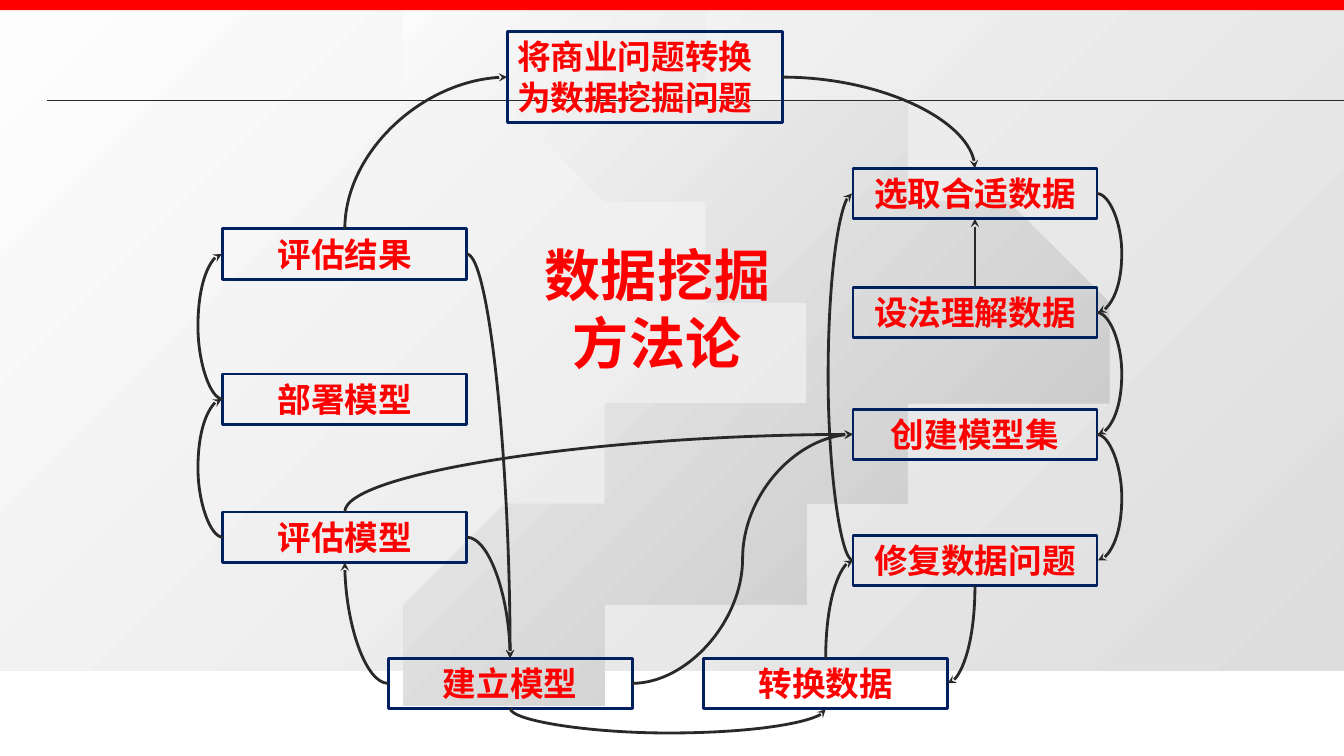
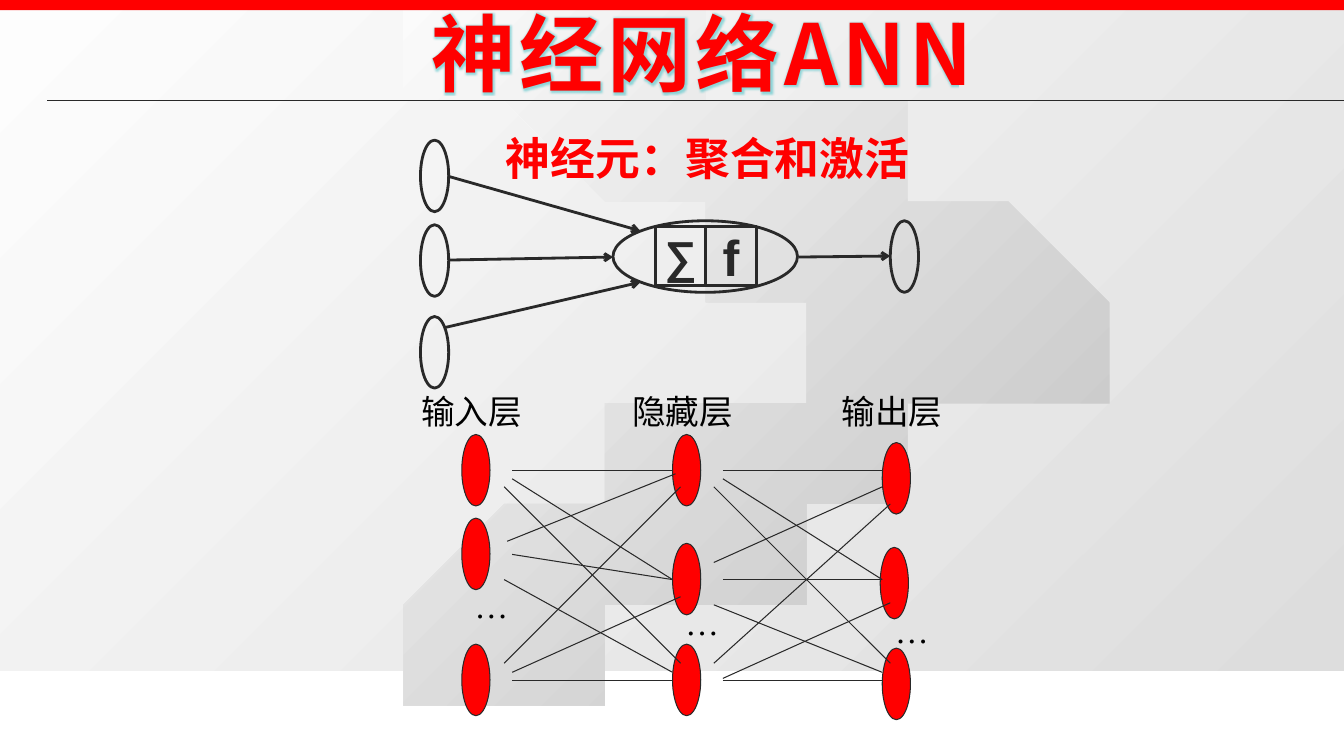
from lxml import etree
from pptx import Presentation
from pptx import util as u
from pptx.dml.color import RGBColor
from pptx.enum import shapes, text
from pptx.oxml.ns import qn

COLORS = {
    "red": "FF0000", "navy": "002060", "ink": "292929", "black": "000000",
    "white": "FFFFFF", "pale": "FDFDFD", "grey": "DDDDDD", "silver": "C0C0C0",
    "outline": "FFF4F4", "glow": "4FC3C8",
}
RGB = {name: RGBColor.from_string(value) for name, value in COLORS.items()}
HEADING_FONT, BODY_FONT = "Noto Sans CJK SC", "Noto Sans CJK JP"
RECTANGLE, OVAL = shapes.MSO_SHAPE.RECTANGLE, shapes.MSO_SHAPE.OVAL
CENTER = text.PP_ALIGN.CENTER


def write_text(shape, lines, font, size, color, bold=False, align=None, spacing=0,
               **frame_format):
    """Fill a shape with equally styled paragraphs and return the runs."""
    frame = shape.text_frame
    frame_values = {"word_wrap": True, "vertical_anchor": text.MSO_ANCHOR.TOP}
    for name, value in {**frame_values, **frame_format}.items():
        setattr(frame, name, value)
    frame.text = "\n".join(lines)
    runs = []
    for paragraph in frame.paragraphs:
        paragraph.alignment = align or text.PP_ALIGN.LEFT
        paragraph.line_spacing = u.Pt(1.2 * size)
        run = paragraph.runs[0]
        for name, value in {"name": font, "size": u.Pt(size), "bold": bold}.items():
            setattr(run.font, name, value)
        run.font.color.rgb = RGB[color]
        properties = run.font._element
        if spacing:
            properties.set("spc", str(spacing))
        etree.SubElement(properties, qn("a:ea"), typeface=font)
        runs.append(run)
    return runs


def style(shape, width, line="ink", fill=None, head=None, tail=None):
    """Set the outline, the fill and the arrowheads, without a shadow."""
    shape.line.width = u.Pt(width)
    shape.line.color.rgb = RGB[line]
    properties = shape.element.spPr
    for end, arrow in (("headEnd", head), ("tailEnd", tail)):
        if arrow:
            etree.SubElement(properties.find(qn("a:ln")), qn(f"a:{end}"), type=arrow)
    if shape.element.tag == qn("p:cxnSp"):
        etree.SubElement(properties, qn("a:effectLst"))
        return
    shape.shadow.inherit = False
    if fill:
        shape.fill.solid()
        shape.fill.fore_color.rgb = RGB[fill]
    else:
        shape.fill.background()


presentation = Presentation()
presentation.slide_width, presentation.slide_height = u.Inches(13.33), u.Inches(7.5)
blank = presentation.slide_layouts[6]
method_slide = presentation.slides.add_slide(blank)
network_slide = presentation.slides.add_slide(blank)

# Shared background: panel, chevron, top band and rule, kept on the master
panel = method_slide.shapes.add_shape(
    RECTANGLE, 0, u.Inches(0.08), u.Inches(13.33), u.Inches(6.57))

chevron_start = (10.64, 3.76)
chevron_curves = [
    [(10.19, 4.04), (6.56, 6.2), (5.72, 6.64)],
    [(4.27, 6.64)],
    [(4.04, 6.45), (3.64, 6.08), (4.31, 5.5)],
    [(6.27, 4.33), (7.5, 3.61), (8.33, 3.15)],
    [(5.79, 1.69), (3.89, 0.53), (3.24, 0.1)],
    [(4.73, 0.08), (6.21, 0.1), (6.21, 0.1)],
    [(7.19, 0.65), (10.18, 2.3), (10.64, 2.59)],
    [(11.11, 2.89), (11.09, 3.47), (10.64, 3.76)],
]
STEPS = 16
outline = [chevron_start]
for curve in chevron_curves:
    if len(curve) == 1:
        outline += curve
        continue
    controls = [outline[-1], *curve]
    for step in range(1, STEPS + 1):
        t = step / STEPS
        weights = ((1 - t) ** 3, 3 * t * (1 - t) ** 2, 3 * t ** 2 * (1 - t), t ** 3)
        outline.append(tuple(
            sum(weight * point[axis] for weight, point in zip(weights, controls))
            for axis in (0, 1)))
builder = method_slide.shapes.build_freeform(*chevron_start, scale=u.Inches(1))
builder.add_line_segments(outline[1:], close=True)
chevron = builder.convert_to_shape()

band = method_slide.shapes.add_shape(RECTANGLE, 0, 0, u.Inches(13.33), u.Inches(0.1))
band.fill.solid()
band.fill.fore_color.rgb = RGB["red"]
for shape, stops in ((panel, ("pale", "grey")), (chevron, ("white", "silver"))):
    shape.fill.gradient()
    shape.fill.gradient_angle = 315
    for stop, color in zip(shape.fill.gradient_stops, stops):
        stop.color.rgb = RGB[color]
for shape in (panel, chevron, band):
    shape.shadow.inherit = False
    shape.line.fill.background()

rule = method_slide.shapes.add_connector(
    shapes.MSO_CONNECTOR.STRAIGHT, u.Inches(0.47), u.Inches(1), u.Inches(13.33), u.Inches(1))
style(rule, 1)
for index, shape in enumerate((panel, chevron, band, rule)):
    shape.element.xpath(".//p:cNvPr")[0].set("id", str(100 + index))
    presentation.slide_master.shapes.element.insert(2 + index, shape.element)

# Slide 1: steps of the method
steps = [
    ("将商业问题转换为数据挖掘问题", 5.03, 0.31),
    ("选取合适数据", 8.46, 1.67),
    ("设法理解数据", 8.46, 2.85),
    ("创建模型集", 8.46, 4.06),
    ("修复数据问题", 8.46, 5.31),
    ("转换数据", 6.98, 6.53),
    ("建立模型", 3.85, 6.53),
    ("评估模型", 2.21, 5.08),
    ("部署模型", 2.21, 3.71),
    ("评估结果", 2.21, 2.27),
]
boxes = []
for index, (label, left, top) in enumerate(steps):
    width, height = (2.42, 0.5) if index else (2.73, 0.91)
    box = method_slide.shapes.add_shape(
        RECTANGLE, u.Inches(left), u.Inches(top), u.Inches(width), u.Inches(height))
    style(box, 2, "navy")
    write_text(box, [label], BODY_FONT, 24, "red", True, CENTER if index else None)
    boxes.append(box)
problem, select, understand, model_set, repair, convert, build, assess, deploy, result = boxes

# Slide 1: arrows between the steps
TOP, LEFT, BOTTOM, RIGHT = range(4)
THIN, BULGE = u.Inches(0.01), 25
arrows = [
    (result, TOP, problem, LEFT), (problem, RIGHT, select, TOP),
    (select, RIGHT, understand, RIGHT), (understand, TOP, select, BOTTOM),
    (understand, RIGHT, model_set, RIGHT), (model_set, RIGHT, repair, RIGHT),
    (repair, BOTTOM, convert, RIGHT), (convert, BOTTOM, build, BOTTOM),
    (build, LEFT, assess, BOTTOM), (assess, LEFT, deploy, LEFT),
    (deploy, LEFT, result, LEFT), (result, RIGHT, build, TOP),
    (assess, RIGHT, build, TOP), (convert, TOP, repair, LEFT),
    (assess, TOP, model_set, LEFT), (build, RIGHT, model_set, LEFT),
    (repair, LEFT, select, LEFT),
]
for source, source_side, target, target_side in arrows:
    vertical = [side in (TOP, BOTTOM) for side in (source_side, target_side)]
    straight = (source_side, target_side) == (TOP, BOTTOM)
    kind = shapes.MSO_CONNECTOR.STRAIGHT if straight else shapes.MSO_CONNECTOR.CURVE
    arrow = method_slide.shapes.add_connector(kind, 0, 0, 0, 0)
    # A quarter curve always starts at its horizontal end
    backwards = vertical == [True, False]
    ends = [(source, source_side), (target, target_side)]
    if backwards:
        ends.reverse()
    arrow.begin_connect(*ends[0])
    arrow.end_connect(*ends[1])
    style(arrow, 2, **{"head" if backwards else "tail": "stealth"})
    geometry = arrow.element.spPr.find(qn("a:prstGeom"))
    if vertical[0] != vertical[1]:
        geometry.set("prst", "curvedConnector2")
    elif source_side == target_side:
        geometry.rewrite_guides([("adj1", BULGE * 100000)])
        if source_side == BOTTOM:
            # Turned a quarter so that the bulge points down
            span, middle = arrow.width, arrow.left + arrow.width // 2
            transform = arrow.element.spPr.xfrm
            transform.flipH, transform.rot = False, 90
            for name, value in {"left": middle - THIN // 2, "top": arrow.top - span // 2,
                                "width": THIN, "height": span}.items():
                setattr(arrow, name, value)
        else:
            arrow.end_x += THIN if source_side == RIGHT else -THIN

# Slide 1: heading in the middle
heading = method_slide.shapes.add_textbox(
    u.Inches(5.28), u.Inches(2.34), u.Inches(2.48), u.Inches(1.45))
write_text(heading, ["数据挖掘", "方法论"], HEADING_FONT, 40, "red", True, CENTER,
           spacing=50, word_wrap=False)

# Slide 2: title with outline and glow
title = network_slide.shapes.add_textbox(
    u.Inches(2.92), u.Inches(-0.03), u.Inches(8.08), u.Inches(1.11))
title_run = write_text(title, ["神经网络ANN"], HEADING_FONT, 60, "red", True, CENTER,
                       spacing=300)[0]
title_properties = title_run.font._element
title_line = etree.Element(qn("a:ln"), w="11430")
line_fill = etree.SubElement(title_line, qn("a:solidFill"))
etree.SubElement(line_fill, qn("a:srgbClr"), val=COLORS["outline"])
title_properties.insert(0, title_line)
effects = etree.Element(qn("a:effectLst"))
glow = etree.SubElement(effects, qn("a:glow"), rad="45000")
glow_color = etree.SubElement(glow, qn("a:srgbClr"), val=COLORS["glow"])
etree.SubElement(glow_color, qn("a:alpha"), val="60000")
title_properties.find(qn("a:solidFill")).addnext(effects)

# Slide 2: links between the layers, from and to
links = [
    (5.08, 4.67, 6.67, 4.67), (5.08, 4.75, 6.67, 5.75), (5, 4.83, 6.75, 6.58),
    (5.08, 6.67, 6.75, 5.92), (5.08, 6.75, 6.67, 6.75), (5, 6.58, 6.75, 4.83),
    (5.08, 5.5, 6.67, 5.75), (5.03, 5.37, 6.7, 4.7), (5, 5.75, 6.67, 6.67),
    (7.17, 4.67, 8.75, 4.67), (7.17, 4.75, 8.75, 5.75), (7.08, 4.83, 8.83, 6.58),
    (7.17, 6.73, 8.83, 5.98), (7.17, 6.75, 8.75, 6.75), (7.08, 6.58, 8.83, 5),
    (7.17, 5.75, 8.75, 5.75), (7.08, 5.58, 8.75, 4.83), (7.08, 6, 8.75, 6.67),
]
signals = [
    (4.45, 1.75, 6.35, 2.29), (4.45, 2.58, 6.08, 2.55),
    (4.41, 3.25, 6.35, 2.8), (7.92, 2.55, 8.83, 2.54),
]

# Slide 2: the three layers with label and ellipsis
layers = [
    ("输入层", 4.08, 5.75, [(4.58, 4.31), (4.58, 5.14), (4.58, 6.39)]),
    ("隐藏层", 6.17, 5.92, [(6.67, 4.31), (6.67, 5.39), (6.67, 6.39)]),
    ("输出层", 8.25, 6, [(8.75, 4.39), (8.73, 5.43), (8.75, 6.43)]),
]
for label, left, dots_top, nodes in layers:
    for node_left, node_top in nodes:
        node = network_slide.shapes.add_shape(
            OVAL, u.Inches(node_left), u.Inches(node_top), u.Inches(0.28), u.Inches(0.71))
        style(node, 0.75, fill="red")
    for words, font, box_left, top, width in (
            (label, "Lato", left, 3.83, 1.58),
            ("…", "Times New Roman", left + 0.53, dots_top, 0.56)):
        caption = network_slide.shapes.add_textbox(
            u.Inches(box_left), u.Inches(top), u.Inches(width), u.Inches(0.51))
        write_text(caption, [words], font, 24, "black")

# Slide 2: the single neuron
subtitle = network_slide.shapes.add_textbox(
    u.Inches(4.92), u.Inches(1.25), u.Inches(4.5), u.Inches(0.64))
write_text(subtitle, ["神经元：聚合和激活"], BODY_FONT, 32, "red", True)
for left, top, width in ((4.17, 1.39, 0.28), (4.17, 2.23, 0.28), (4.17, 3.14, 0.28),
                         (6.08, 2.19, 1.83), (8.83, 2.19, 0.28)):
    cell = network_slide.shapes.add_shape(
        OVAL, u.Inches(left), u.Inches(top), u.Inches(width), u.Inches(0.71))
    style(cell, 2)
for symbol, left, size in (("∑", 6.5, 32), ("f", 7, 36)):
    part = network_slide.shapes.add_shape(
        RECTANGLE, u.Inches(left), u.Inches(2.25), u.Inches(0.5), u.Inches(0.58))
    style(part, 2)
    write_text(part, [symbol], "Arial", size, "ink", True, CENTER,
               word_wrap=False, vertical_anchor=text.MSO_ANCHOR.MIDDLE)

# Slide 2: all lines
for group, width, tail in ((links, 0.75, None), (signals, 2, "arrow")):
    for points in group:
        link = network_slide.shapes.add_connector(
            shapes.MSO_CONNECTOR.STRAIGHT, *(u.Inches(value) for value in points))
        style(link, width, tail=tail)

presentation.save("out.pptx")
